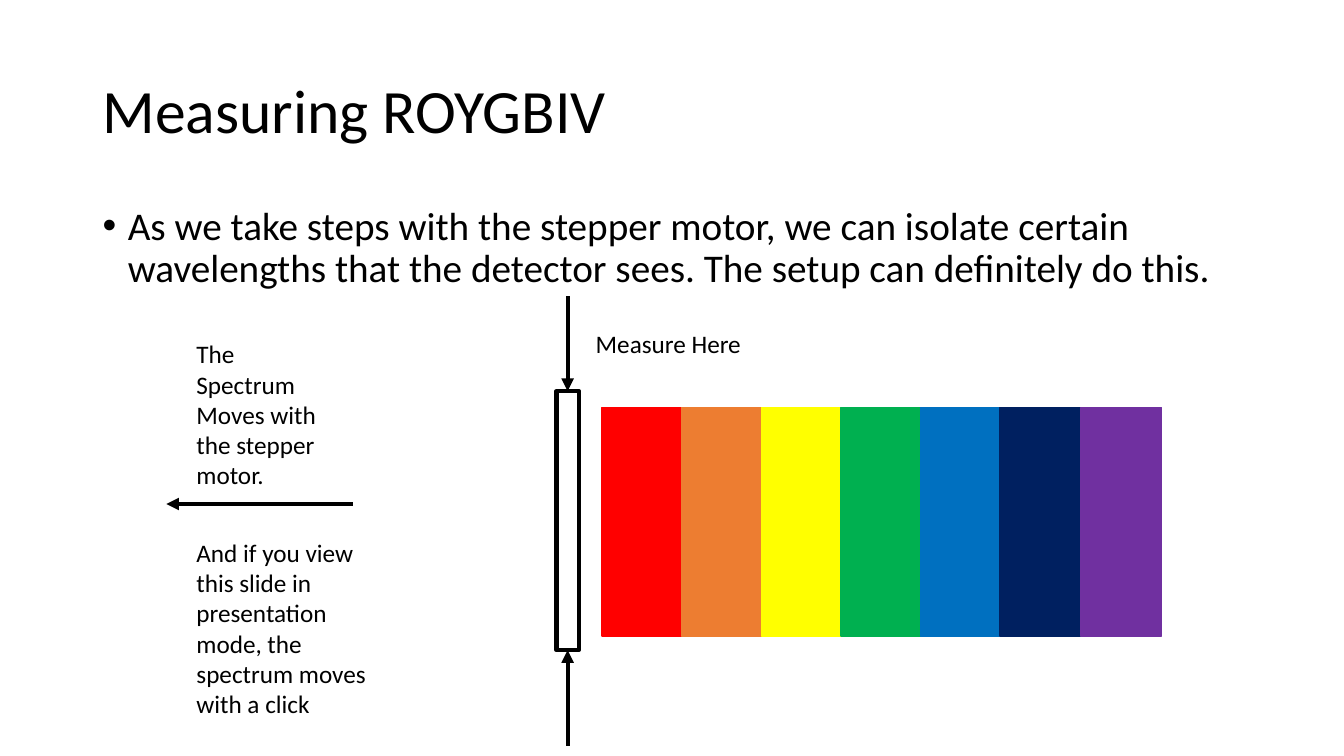
"""Build the Measuring ROYGBIV slide."""
from dataclasses import dataclass

from lxml import etree
from pptx import Presentation
from pptx import util as u
from pptx.dml.color import RGBColor
from pptx.enum import shapes, text
from pptx.oxml.ns import qn

PX = 9144
FONT = "Calibri"
COLOURS = {
    "ink": "000000",
    "red": "FF0000",
    "orange": "ED7D31",
    "yellow": "FFFF00",
    "green": "00B050",
    "blue": "0070C0",
    "indigo": "002060",
    "violet": "7030A0",
}
SPECTRUM = ("red", "orange", "yellow", "green", "blue", "indigo", "violet")
SPECTRUM_LEFT, SPECTRUM_TOP, SPECTRUM_SPAN = 597, 404, 475
BAND_WIDTH, BAND_HEIGHT = 80, 227


@dataclass(frozen=True)
class Box:
    left: int
    top: int
    width: int
    height: int

    def emu(self) -> tuple[int, ...]:
        return tuple(n * PX for n in (self.left, self.top, self.width, self.height))


@dataclass(frozen=True)
class Label:
    wording: str
    box: Box
    size: int = 18
    spacing: float = 1.0
    before: int = 0
    anchor: text.MSO_ANCHOR = text.MSO_ANCHOR.TOP
    bullet: bool = False


@dataclass(frozen=True)
class Arrow:
    start: tuple[int, int]
    end: tuple[int, int]
    slit_side: int | None = None


LABELS = (
    Label("Measuring ROYGBIV", Box(92, 40, 1150, 145), 44, 0.9,
          anchor=text.MSO_ANCHOR.MIDDLE),
    Label("As we take steps with the stepper motor, we can isolate certain "
          "wavelengths that the detector sees. The setup can definitely do this.",
          Box(92, 200, 1150, 476), 28, 0.9, before=10, bullet=True),
    Label("The Spectrum Moves with the stepper motor.", Box(185, 331, 140, 162)),
    Label("Measure Here", Box(581, 321, 171, 40)),
    Label("And if you view this slide in presentation mode, the spectrum moves "
          "with a click", Box(185, 528, 213, 192)),
)
SLIT = Box(552, 388, 22, 257)
ARROWS = (
    Arrow((563, 294), (563, 388), slit_side=0),
    Arrow((563, 740), (563, 645), slit_side=2),
    Arrow((350, 500), (165, 500)),
)


def colour(name: str) -> RGBColor:
    return RGBColor.from_string(COLOURS[name])


def draw_label(page, label: Label) -> None:
    frame = page.shapes.add_textbox(*label.box.emu()).text_frame
    frame.word_wrap = True
    frame.vertical_anchor = label.anchor
    para = frame.paragraphs[0]
    para.text = label.wording
    para.line_spacing = label.spacing
    para.space_before = u.Pt(label.before)
    para.font.name = FONT
    para.font.size = u.Pt(label.size)
    para.font.color.rgb = colour("ink")
    if label.bullet:
        props = para._p.get_or_add_pPr()
        props.set("marL", str(25 * PX))
        props.set("indent", str(-25 * PX))
        bullet_font = etree.Element(qn("a:buFont"), typeface="Arial")
        bullet = etree.Element(qn("a:buChar"), char="•")
        props.find(qn("a:spcBef")).addnext(bullet_font)
        bullet_font.addnext(bullet)


def draw_rectangle(parent, box: Box, line: str, weight: int, fill: str | None = None):
    rectangle = parent.shapes.add_shape(shapes.MSO_SHAPE.RECTANGLE, *box.emu())
    rectangle.shadow.inherit = False
    if fill:
        rectangle.fill.solid()
        rectangle.fill.fore_color.rgb = colour(fill)
    else:
        rectangle.fill.background()
    rectangle.line.color.rgb = colour(line)
    rectangle.line.width = u.Pt(weight)
    return rectangle


def draw_spectrum(page) -> None:
    group = page.shapes.add_group_shape()
    for index, name in enumerate(SPECTRUM):
        left = SPECTRUM_LEFT + index * SPECTRUM_SPAN // (len(SPECTRUM) - 1)
        band = Box(left, SPECTRUM_TOP, BAND_WIDTH, BAND_HEIGHT)
        draw_rectangle(group, band, name, 1, name)


def draw_arrow(page, arrow: Arrow, slit) -> None:
    points = (n * PX for n in arrow.start + arrow.end)
    connector = page.shapes.add_connector(shapes.MSO_CONNECTOR.STRAIGHT, *points)
    if arrow.slit_side is not None:
        connector.end_connect(slit, arrow.slit_side)
    connector.line.color.rgb = colour("ink")
    connector.line.width = u.Pt(3)
    etree.SubElement(connector.line._get_or_add_ln(), qn("a:tailEnd"), type="triangle")
    etree.SubElement(connector._element.spPr, qn("a:effectLst"))


def main() -> None:
    deck = Presentation()
    deck.slide_width, deck.slide_height = 1333 * PX, 750 * PX
    page = deck.slides.add_slide(deck.slide_layouts[6])
    draw_spectrum(page)
    slit = draw_rectangle(page, SLIT, "ink", 3)
    for arrow in ARROWS:
        draw_arrow(page, arrow, slit)
    for label in LABELS:
        draw_label(page, label)
    deck.save("out.pptx")


if __name__ == "__main__":
    main()
